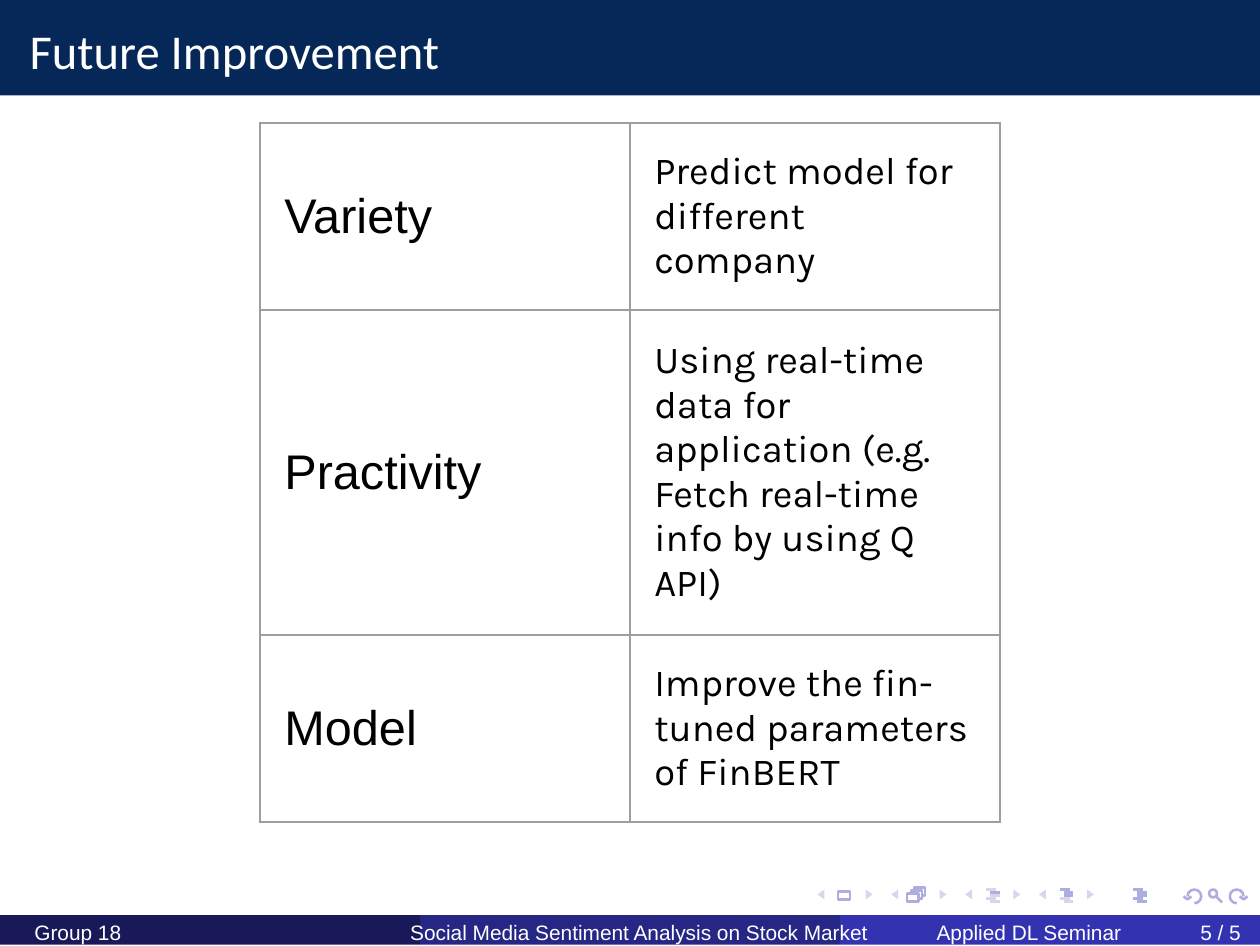
from math import cos, radians, sin

from lxml import etree
from pptx import Presentation
from pptx.dml.color import RGBColor
from pptx.enum.shapes import MSO_CONNECTOR, MSO_SHAPE
from pptx.enum.text import MSO_ANCHOR, MSO_AUTO_SIZE, PP_ALIGN
from pptx.oxml.ns import qn
from pptx.util import Cm, Pt

RECTANGLE, OVAL = MSO_SHAPE.RECTANGLE, MSO_SHAPE.OVAL
STRAIGHT = MSO_CONNECTOR.STRAIGHT
TOP, MIDDLE = MSO_ANCHOR.TOP, MSO_ANCHOR.MIDDLE
LEFT = PP_ALIGN.LEFT
NO_AUTOFIT = MSO_AUTO_SIZE.NONE

PAGE_WIDTH, PAGE_HEIGHT = Pt(363), Pt(272.5)
WIDTH = PAGE_WIDTH.cm
NAVY, WHITE, BLACK, GREY = "062858", "FFFFFF", "000000", "9E9E9E"
FOOTER_FILLS = ["191959", "262685", "3333B2"]
STRONG, FAINT = "ADADE0", "D6D6EF"

FOOTER_TEXTS = [  # left, width, wording
    (0.35, 3.6, "Group 18"),
    (4.17, 4.7, "Social Media Sentiment Analysis on Stock Market"),
    (9.52, 2.1, "Applied DL Seminar"),
    (12.2, 0.58, "5 / 5"),
]
IMPROVEMENTS = [  # row height, aspect, plan
    (1.9, "Variety", "Predict model for different company"),
    (3.3, "Practivity", "Using real-time data for application "
     "(e.g. Fetch real-time info by using Q API)"),
    (1.9, "Model", "Improve the fin-tuned parameters of FinBERT"),
]


def rgb(hex_color):
    return RGBColor.from_string(hex_color)


def write(frame, text, size, font, color=BLACK, anchor=TOP, spacing=1.0):
    frame.word_wrap = True
    frame.vertical_anchor = anchor
    paragraph = frame.paragraphs[0]
    paragraph.alignment = LEFT
    paragraph.line_spacing = spacing
    run = paragraph.add_run()
    run.text = text
    run.font.size = Pt(size)
    run.font.name = font
    run.font.color.rgb = rgb(color)


def clear_margins(frame, top=0):
    frame.margin_left = frame.margin_right = frame.margin_bottom = 0
    frame.margin_top = Cm(top)


def paint(shape, fill=None, line=None):
    shape.shadow.inherit = False
    for part, color in ((shape.fill, fill), (shape.line.fill, line)):
        if color:
            part.solid()
            part.fore_color.rgb = rgb(color)
        else:
            part.background()
    if line:
        shape.line.width = Pt(0.75)


def add_preset(slide, kind, left, top, width, height, **colors):
    shape = slide.shapes.add_shape(kind, Cm(left), Cm(top), Cm(width), Cm(height))
    paint(shape, **colors)
    return shape


def add_outline(slide, points, close=False, **colors):
    start, *rest = [(Cm(x), Cm(y)) for x, y in points]
    builder = slide.shapes.build_freeform(*start)
    builder.add_line_segments(rest, close=close)
    paint(builder.convert_to_shape(), **colors)


def add_stroke(slide, x1, y1, x2, y2, color):
    stroke = slide.shapes.add_connector(STRAIGHT, Cm(x1), Cm(y1), Cm(x2), Cm(y2))
    stroke.line.color.rgb = rgb(color)
    stroke.line.width = Pt(0.75)
    etree.SubElement(stroke._element.spPr, qn("a:effectLst"))


def add_title(slide, left, top, width, height):
    bar = add_preset(slide, RECTANGLE, left, top, width, height, fill=NAVY)
    title = slide.shapes.title
    title._element.addprevious(bar._element)
    title.left, title.top = Cm(left + 0.3), Cm(top + 0.16)
    title.width, title.height = Cm(9.1), Cm(0.64)
    frame = title.text_frame
    frame.auto_size = NO_AUTOFIT
    clear_margins(frame, top=0.05)
    write(frame, "Future Improvement", 14, "Calibri", WHITE)


def add_footer(slide, left, top, width, height):
    band = width / len(FOOTER_FILLS)
    for index, fill in enumerate(FOOTER_FILLS):
        add_preset(slide, RECTANGLE, left + index * band, top, band, height, fill=fill)
    for offset, text_width, text in FOOTER_TEXTS:
        box = slide.shapes.add_textbox(
            Cm(left + offset), Cm(top + 0.02), Cm(text_width), Cm(0.28))
        clear_margins(box.text_frame)
        write(box.text_frame, text, 6, "Arial", WHITE, spacing=1.12)


def add_borders(cell, color):
    properties = cell._tc.get_or_add_tcPr()
    for side in ("a:lnL", "a:lnR", "a:lnT", "a:lnB"):
        border = etree.SubElement(properties, qn(side), w=str(Pt(0.75)))
        fill = etree.SubElement(border, qn("a:solidFill"))
        etree.SubElement(fill, qn("a:srgbClr"), val=color)


def add_improvements(slide, left, top, width):
    height = sum(row[0] for row in IMPROVEMENTS)
    table = slide.shapes.add_table(
        len(IMPROVEMENTS), 2, Cm(left), Cm(top), Cm(width), Cm(height)).table
    table.first_row = table.horz_banding = False
    for row, (row_height, aspect, plan) in enumerate(IMPROVEMENTS):
        table.rows[row].height = Cm(row_height)
        for column, (text, size, font) in enumerate(
                [(aspect, 14, "Arial"), (plan, 11, "Karla")]):
            cell = table.cell(row, column)
            cell.margin_left = cell.margin_right = Cm(0.25)
            cell.margin_top = cell.margin_bottom = Cm(0.25)
            add_borders(cell, GREY)
            cell.fill.background()
            write(cell.text_frame, text, size, font)
            cell.vertical_anchor = MIDDLE


def add_text_lines(slide, left, top, colors):
    for index, color in enumerate(colors):
        x = left + (0 if index in (0, 3) else 0.04)
        y = top + 0.03 * index
        add_stroke(slide, x, y, x + 0.1, y, color)


def add_turn_arrow(slide, center_x, center_y, direction):
    """Draw an open circular arrow; direction 1 is back, -1 is forward."""
    radius = 0.07
    arc = [(center_x + direction * radius * cos(radians(angle)),
            center_y + radius * sin(radians(angle)))
           for angle in range(90, -181, -30)]
    add_outline(slide, arc, line=STRONG)
    tip_x, tip_y = arc[-1]
    head = [(tip_x + 0.04, tip_y), (tip_x, tip_y + 0.03), (tip_x - 0.04, tip_y)]
    add_outline(slide, head, line=STRONG)


def add_navigation(slide, left, top):
    step, icon = 0.75, 0.21
    for index in range(4):
        x = left + index * step
        for base, tip in ((x + 0.07, x), (x + 0.49, x + 0.56)):
            triangle = [(base, top), (tip, top + 0.05), (base, top + 0.1)]
            add_outline(slide, triangle, close=True, fill=FAINT)

    add_preset(slide, RECTANGLE, left + icon, top + 0.02, 0.12, 0.08, line=STRONG)
    frames = left + step + icon - 0.05
    add_preset(slide, RECTANGLE, frames, top + 0.04, 0.12, 0.08, line=STRONG)
    for shift in (0.04, 0.07):
        x, y = frames + shift, top + 0.05 - shift
        corner = [(x, y + 0.03), (x, y), (x + 0.11, y),
                  (x + 0.11, y + 0.08), (x + 0.08, y + 0.08)]
        add_outline(slide, corner, line=STRONG)

    line_colors = [
        [FAINT, STRONG, FAINT, FAINT, FAINT],
        [STRONG] * 3 + [FAINT] * 2,
        [STRONG] * 5,
    ]
    for index, colors in enumerate(line_colors, start=2):
        add_text_lines(slide, left + index * step + icon, top, colors)

    add_turn_arrow(slide, left + 3.83, top + 0.07, 1)
    add_preset(slide, OVAL, left + 3.98, top, 0.08, 0.08, line=STRONG)
    add_stroke(slide, left + 4.05, top + 0.07, left + 4.11, top + 0.13, STRONG)
    add_turn_arrow(slide, left + 4.26, top + 0.07, -1)


def main():
    presentation = Presentation()
    presentation.slide_width, presentation.slide_height = PAGE_WIDTH, PAGE_HEIGHT
    slide = presentation.slides.add_slide(presentation.slide_layouts[5])
    add_title(slide, 0, 0, WIDTH, 0.97)
    add_navigation(slide, 8.31, 9.04)
    add_footer(slide, 0, 9.3, WIDTH, 0.3)
    add_improvements(slide, 2.64, 1.25, 7.52)
    presentation.save("out.pptx")


if __name__ == "__main__":
    main()
